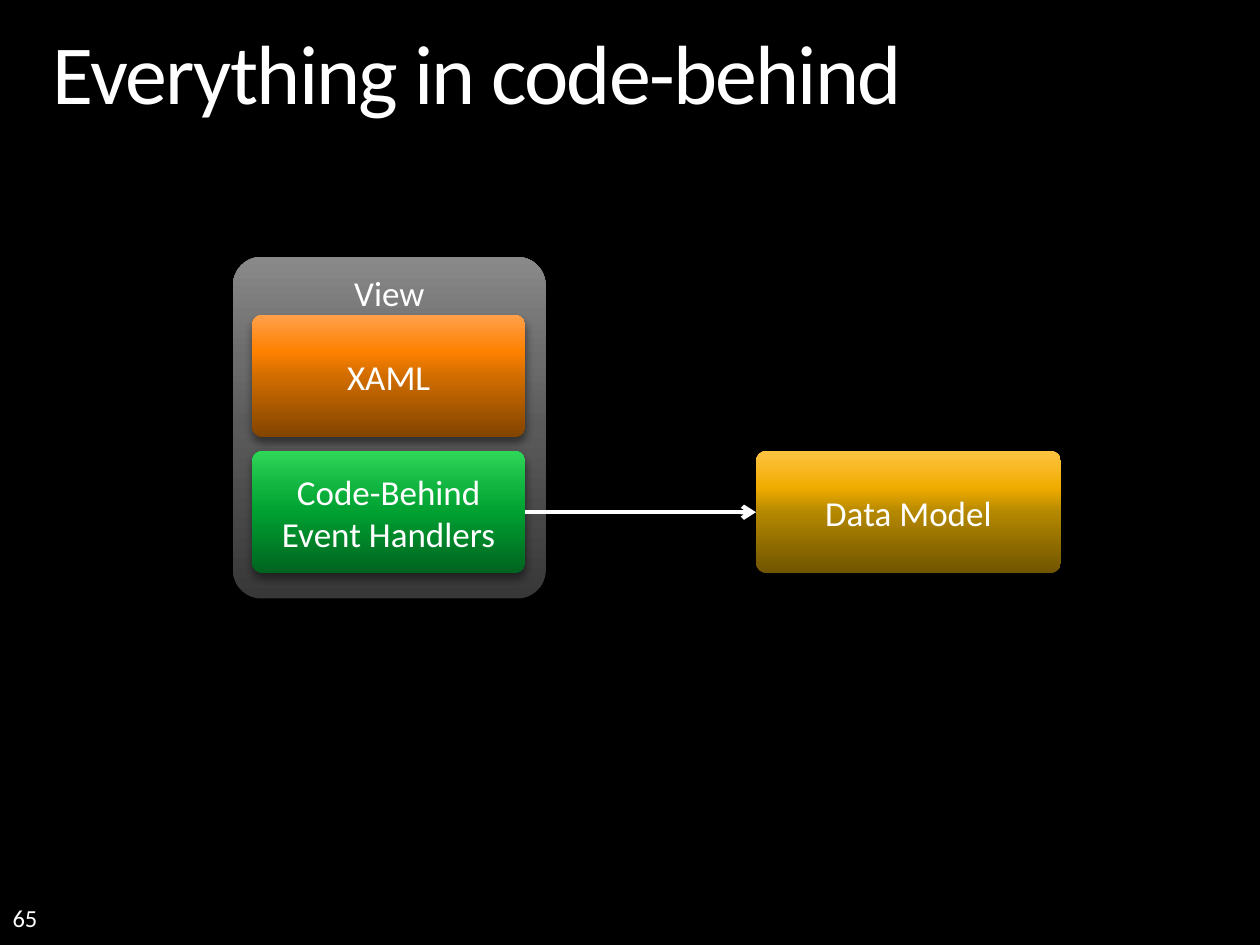
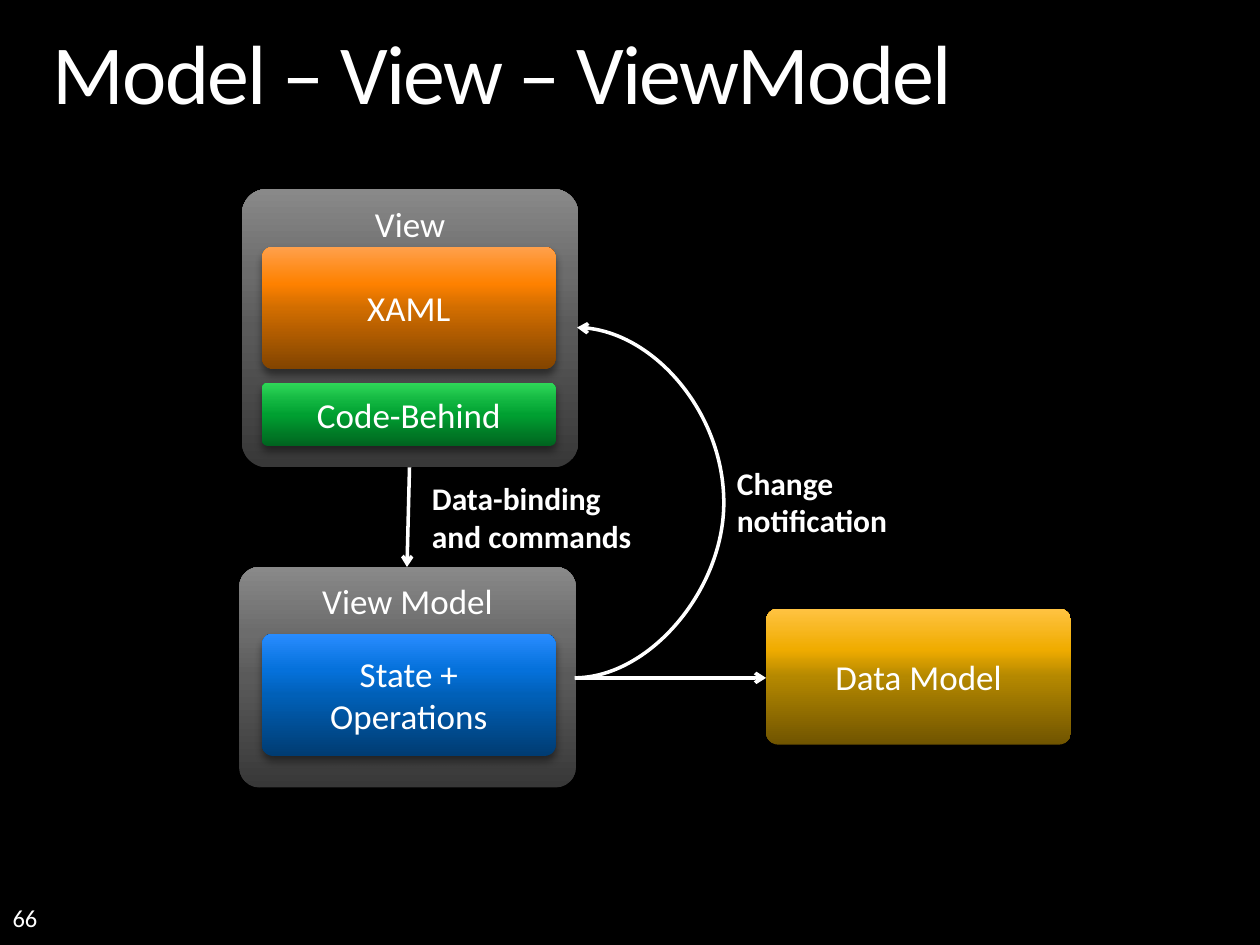
import pptx
import pptx.dml.color
import pptx.enum.shapes
import pptx.enum.text
import pptx.oxml
import pptx.oxml.ns
import pptx.util
from pptx.util import Inches

ANCHOR = pptx.enum.text.MSO_ANCHOR
ALIGN = pptx.enum.text.PP_ALIGN
CONNECTOR = pptx.enum.shapes.MSO_CONNECTOR
ROUNDED = pptx.enum.shapes.MSO_SHAPE.ROUNDED_RECTANGLE

# Gradients run from the bottom edge to the top edge.
STOPS = (0, 50, 70, 100)
GOLD = ("705400", "B48800", "F0AC00", "FFC342")
GREY = ("383838", "5A5A5A", "6C6C6C", "898989")
ORANGE = ("824400", "D16D00", "FE8100", "FFA04B")
GREEN = ("00631F", "00A031", "10B43F", "2FD758")
BLUE = ("003C72", "0060B8", "0571DB", "288CFF")


def color(hex_code):
    return pptx.dml.color.RGBColor.from_string(hex_code)


def element(xml):
    """Build one DrawingML element, adding the namespace declaration."""
    tag, rest = xml.split(" ", 1)
    return pptx.oxml.parse_xml(f"{tag} {pptx.oxml.ns.nsdecls('a')} {rest}")


class Deck:
    FONT = "Calibri"
    INK = "FFFFFF"
    BACKGROUND = "000000"

    def __init__(self):
        self.presentation = pptx.Presentation()
        self.presentation.slide_width = Inches(10)
        self.presentation.slide_height = Inches(7.5)
        self.slide = None

    def add_slide(self, title, number):
        blank = self.presentation.slide_layouts[6]
        self.slide = self.presentation.slides.add_slide(blank)
        backdrop = self.slide.background.fill
        backdrop.solid()
        backdrop.fore_color.rgb = color(self.BACKGROUND)
        self.text(number, 0.1, 7, 2.33, 0.4, 14, margins=(0, 0), anchor=ANCHOR.BOTTOM)
        heading = self.text(title, 0.42, 0.25, 9.16, 0.73, 48, margins=(0, 0))
        heading.line_spacing = 0.9
        heading.runs[0].font._element.set("spc", "-100")

    def set_lines(self, shape, lines, size, bold=False, align=ALIGN.LEFT,
                  anchor=ANCHOR.TOP, margins=(0.1, 0.05)):
        """Fill a shape with one paragraph per line; return the last one."""
        frame = shape.text_frame
        frame.word_wrap = True
        frame.vertical_anchor = anchor
        frame.margin_left = frame.margin_right = Inches(margins[0])
        frame.margin_top = frame.margin_bottom = Inches(margins[1])
        for index, line in enumerate(lines):
            paragraph = frame.add_paragraph() if index else frame.paragraphs[0]
            paragraph.alignment = align
            run = paragraph.add_run()
            run.text = line
            run.font.name = self.FONT
            run.font.size = pptx.util.Pt(size)
            run.font.bold = bold
            run.font.color.rgb = color(self.INK)
        return paragraph

    def text(self, words, left, top, width, height, size, **style):
        box = self.slide.shapes.add_textbox(
            Inches(left), Inches(top), Inches(width), Inches(height))
        return self.set_lines(box, [words], size, **style)

    def block(self, lines, left, top, width, height, gradient, anchor=ANCHOR.MIDDLE):
        shape = self.slide.shapes.add_shape(
            ROUNDED, Inches(left), Inches(top), Inches(width), Inches(height))
        shape.adjustments[0] = 0.09
        shape.line.fill.background()
        shape.fill.gradient()
        shape.fill.gradient_angle = 90
        properties = shape._element.spPr
        stop_list = properties.find(".//" + pptx.oxml.ns.qn("a:gsLst"))
        for stop in list(stop_list):
            stop_list.remove(stop)
        for position, shade in zip(STOPS, gradient):
            stop_list.append(element(
                f'<a:gs pos="{position * 1000}"><a:srgbClr val="{shade}"/></a:gs>'))
        shape.shadow.inherit = False
        properties.find(pptx.oxml.ns.qn("a:effectLst")).append(element(
            f'<a:outerShdw blurRad="{pptx.util.Pt(5)}" dist="{pptx.util.Pt(3)}" '
            'dir="5400000" rotWithShape="0"><a:srgbClr val="000000">'
            '<a:alpha val="45000"/></a:srgbClr></a:outerShdw>'))
        self.set_lines(shape, lines, 20, align=ALIGN.CENTER, anchor=anchor)

    def container(self, label, left, top, width, height):
        self.block([label], left, top, width, height, GREY, anchor=ANCHOR.TOP)

    def arrow(self, start, end, weight=2, apex=None):
        """Draw a straight arrow, or a curve whose bulge reaches x = apex."""
        kind = CONNECTOR.STRAIGHT if apex is None else CONNECTOR.CURVE
        line = self.slide.shapes.add_connector(
            kind, *(Inches(value) for value in (*start, *end)))
        line.line.color.rgb = color(self.INK)
        line.line.width = pptx.util.Pt(weight)
        properties = line._element.spPr
        properties.find(pptx.oxml.ns.qn("a:ln")).append(
            element('<a:tailEnd type="arrow"/>'))
        properties.append(element("<a:effectLst />"))
        if apex is not None:
            bend = round((apex - start[0]) / (end[0] - start[0]) * 100000)
            guides = properties.find(".//" + pptx.oxml.ns.qn("a:avLst"))
            guides.append(element(f'<a:gd name="adj1" fmla="val {bend}"/>'))


def code_behind_slide(deck):
    deck.add_slide("Everything in code-behind", "65")
    inner_left, inner_width, height = 2, 2.17, 0.97
    handlers_top, model_left = 3.58, 6
    deck.block(["Data Model"], model_left, handlers_top, 2.42, height, GOLD)
    deck.container("View", 1.85, 2.04, 2.48, 2.71)
    deck.block(["XAML"], inner_left, 2.5, inner_width, height, ORANGE)
    deck.block(["Code-Behind", "Event Handlers"],
               inner_left, handlers_top, inner_width, height, GREEN)
    middle = handlers_top + height / 2
    deck.arrow((inner_left + inner_width, middle), (model_left, middle), weight=2.5)


def view_model_slide(deck):
    deck.add_slide("Model – View – ViewModel", "66")
    inner_left, inner_width, height = 2.08, 2.33, 0.97
    model_left, view_model_top = 6.08, 4.5
    deck.block(["Data Model"], model_left, 4.83, 2.42, 1.08, GOLD)
    deck.container("View", 1.92, 1.5, 2.67, 2.21)
    deck.block(["XAML"], inner_left, 1.96, inner_width, height, ORANGE)
    deck.block(["Code-Behind"], inner_left, 3.04, inner_width, 0.5, GREEN)
    deck.container("View Model", 1.9, view_model_top, 2.67, 1.75)
    deck.block(["State + Operations"], inner_left, 5.03, inner_width, height, BLUE)
    view_model_exit = (4.56, 5.38)
    deck.arrow(view_model_exit, (model_left, view_model_exit[1]))
    deck.arrow((3.25, 3.71), (3.23, view_model_top))
    deck.arrow(view_model_exit, (4.58, 2.6), apex=5.74)
    deck.text("Change notification", 5.75, 3.63, 1.67, 0.71, 18, bold=True)
    deck.text("Data-binding and commands", 3.33, 3.75, 1.83, 0.71, 18, bold=True)


def main():
    deck = Deck()
    code_behind_slide(deck)
    view_model_slide(deck)
    deck.presentation.save("out.pptx")


if __name__ == "__main__":
    main()
